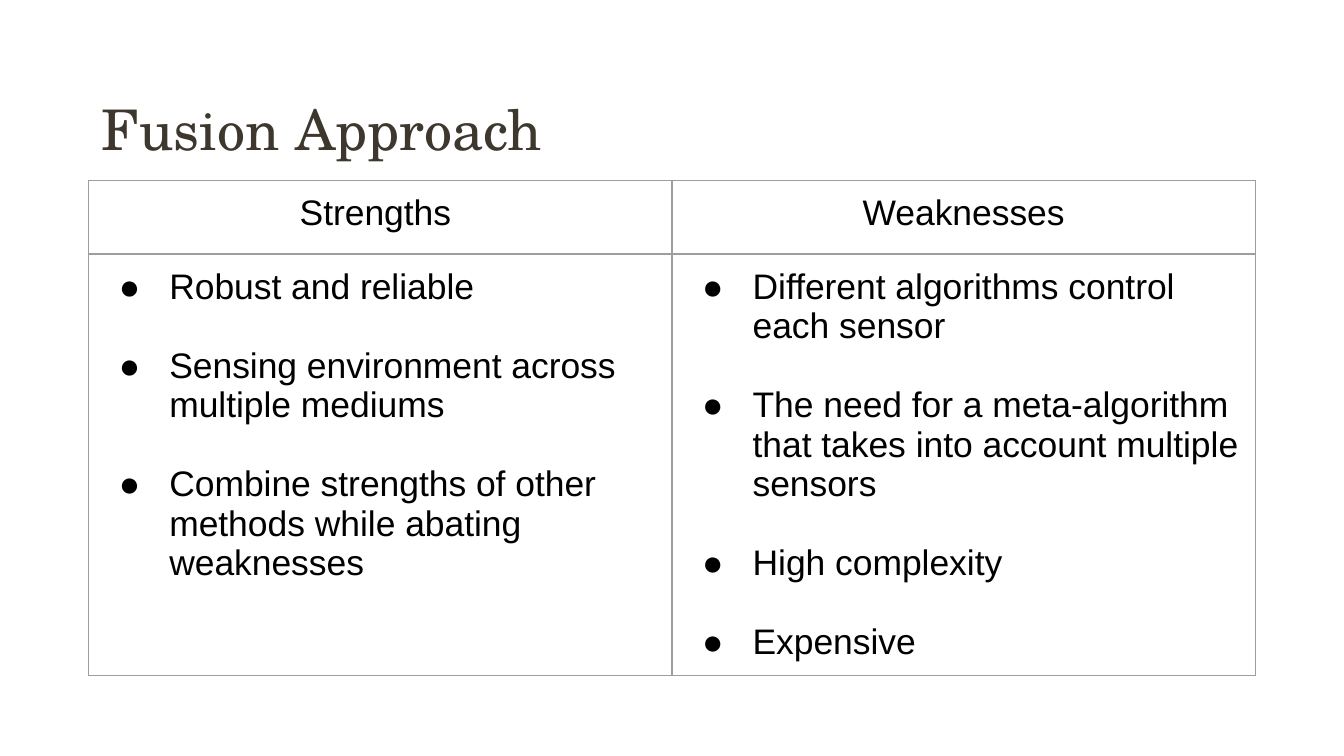
import pptx
import pptx.dml.color
import pptx.enum.text
import pptx.oxml
import pptx.oxml.ns
import pptx.util

Pt = pptx.util.Pt
ALIGN = pptx.enum.text.PP_ALIGN
ANCHOR = pptx.enum.text.MSO_ANCHOR

COLORS = {"heading": "3D372E", "body": "000000", "border": "9E9E9E"}
HEADING_FONT = {"name": "TeX Gyre Schola", "size": Pt(30), "bold": False}
BODY_FONT = {"name": "Arial", "size": Pt(19), "bold": False}
TITLE_FRAME = {
    "margin_left": Pt(5), "margin_right": Pt(5),
    "margin_top": Pt(3), "margin_bottom": Pt(3),
    "vertical_anchor": ANCHOR.BOTTOM, "word_wrap": True,
    "auto_size": pptx.enum.text.MSO_AUTO_SIZE.NONE,
}
CELL_FORMAT = {
    "margin_left": Pt(7.2), "margin_right": Pt(7.2),
    "margin_top": Pt(7.2), "margin_bottom": Pt(7.2),
    "vertical_anchor": ANCHOR.TOP,
}
COMPARISON = {
    "Strengths ": [
        "Robust and reliable",
        "Sensing environment across multiple mediums",
        "Combine strengths of other methods while abating weaknesses",
    ],
    "Weaknesses": [
        "Different algorithms control each sensor",
        "The need for a meta-algorithm that takes into account multiple sensors",
        "High complexity",
        "Expensive",
    ],
}


def apply_format(target, values):
    """Set every attribute in values on target."""
    for name, value in values.items():
        setattr(target, name, value)


def write_run(paragraph, text, font, color):
    """Add one formatted run to a paragraph."""
    run = paragraph.add_run()
    run.text = text
    apply_format(run.font, font)
    run.font.color.rgb = pptx.dml.color.RGBColor.from_string(COLORS[color])


def add_bullet(paragraph):
    """Give a paragraph a hanging round bullet."""
    properties = paragraph._p.get_or_add_pPr()
    properties.set("marL", str(Pt(36)))
    properties.set("indent", str(Pt(-27)))
    namespace = pptx.oxml.ns.nsdecls("a")
    for xml in (
        f'<a:buClr {namespace}><a:srgbClr val="{COLORS["body"]}"/></a:buClr>',
        f'<a:buFont {namespace} typeface="Arial"/>',
        f'<a:buChar {namespace} char="●"/>',
    ):
        properties.append(pptx.oxml.parse_xml(xml))


def format_cell(cell):
    """Clear a cell's fill, set its margins and draw its four borders."""
    apply_format(cell, CELL_FORMAT)
    properties = cell._tc.get_or_add_tcPr()
    for side in ("lnL", "lnR", "lnT", "lnB"):
        properties.append(pptx.oxml.parse_xml(
            f'<a:{side} {pptx.oxml.ns.nsdecls("a")} w="{Pt(0.75)}"><a:solidFill>'
            f'<a:srgbClr val="{COLORS["border"]}"/></a:solidFill></a:{side}>'
        ))
    cell.fill.background()


def place_title(slide, text, left, top, width, height):
    """Move the title placeholder into its box and write the heading."""
    title = slide.shapes.title
    apply_format(title, {"left": left, "top": top, "width": width, "height": height})
    apply_format(title.text_frame, TITLE_FRAME)
    heading = title.text_frame.paragraphs[0]
    apply_format(heading, {"alignment": ALIGN.LEFT, "line_spacing": 0.9})
    write_run(heading, text, HEADING_FONT, "heading")


def place_comparison(slide, comparison, left, top, width, height):
    """Add a table with a heading and a bullet list in each column."""
    table = slide.shapes.add_table(2, len(comparison), left, top, width, height).table
    apply_format(table, {"first_row": False, "horz_banding": False})
    header_height = Pt(39.6)
    table.rows[0].height = header_height
    table.rows[1].height = height - header_height
    for column, (heading, points) in enumerate(comparison.items()):
        header, body = table.cell(0, column), table.cell(1, column)
        format_cell(header)
        format_cell(body)
        label = header.text_frame.paragraphs[0]
        label.alignment = ALIGN.CENTER
        write_run(label, heading, BODY_FONT, "body")
        for index, point in enumerate(points):
            if index:
                item = body.text_frame.add_paragraph()
                item.space_before = Pt(21.2)
            else:
                item = body.text_frame.paragraphs[0]
            add_bullet(item)
            write_run(item, point, BODY_FONT, "body")


def main():
    """Build the slide and save it."""
    deck = pptx.Presentation()
    deck.slide_width, deck.slide_height = Pt(720), Pt(405)
    slide = deck.slides.add_slide(deck.slide_layouts[5])
    place_title(slide, "Fusion Approach", Pt(49.5), Pt(22.5), Pt(621), Pt(67.5))
    place_comparison(slide, COMPARISON, Pt(47.5), Pt(96.5), Pt(625), Pt(265))
    deck.save("out.pptx")


if __name__ == "__main__":
    main()
